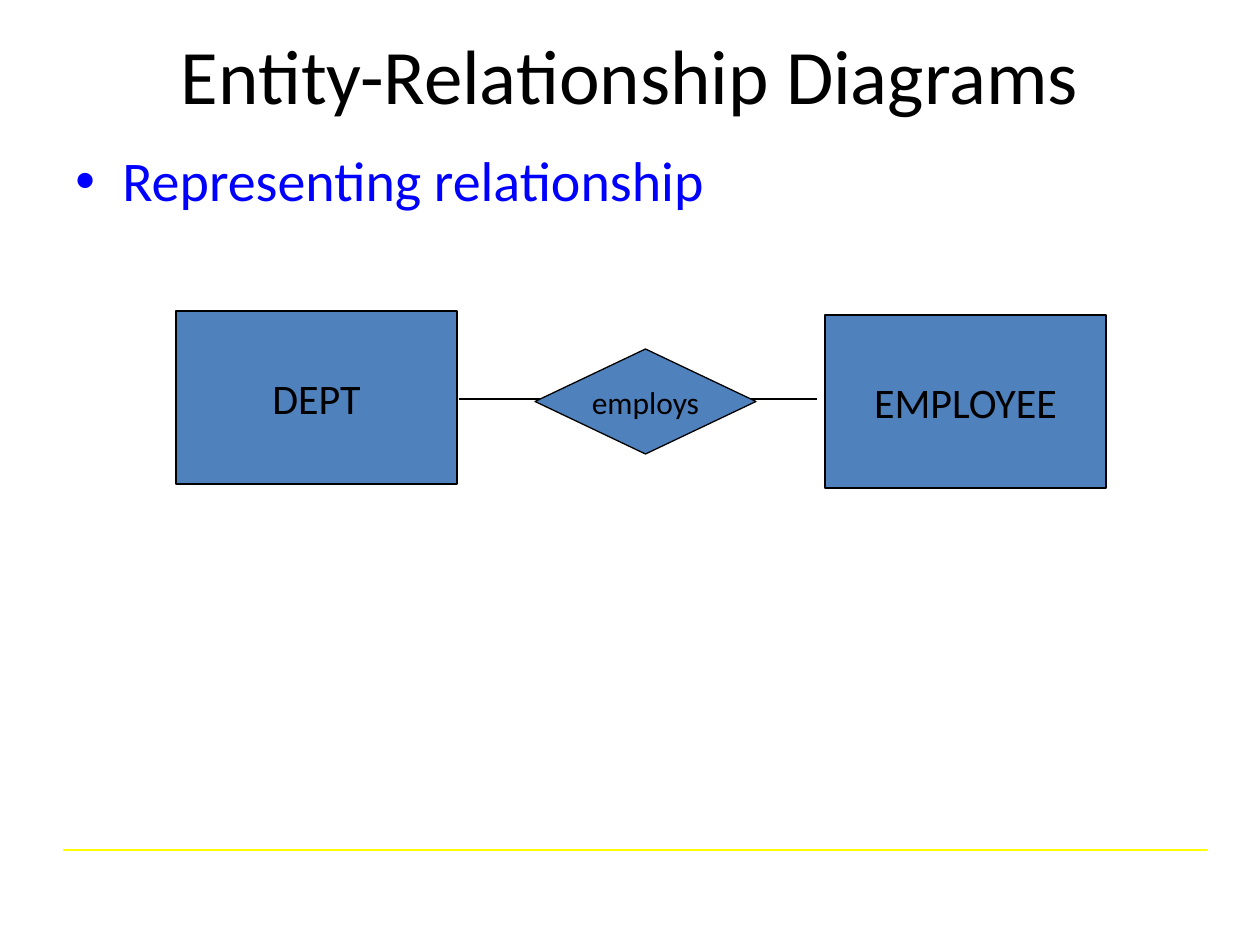
from dataclasses import dataclass

from lxml import etree
from pptx import Presentation, util as u
from pptx.dml.color import RGBColor
from pptx.enum import shapes, text
from pptx.oxml.ns import qn

PX = 914400 / 126


def px(n):
    return u.Emu(round(n * PX))


@dataclass(frozen=True)
class Theme:
    font: str = "Calibri"
    ink: str = "000000"
    accent: str = "0000FF"
    fill: str = "4F81BD"
    rule: str = "FFFF00"
    title: int = 44
    body: int = 32
    entity: int = 24
    relation: int = 18


class Deck:
    def __init__(self, theme):
        self.theme = theme
        self.prs = Presentation()
        self.prs.slide_width, self.prs.slide_height = px(1260), px(945)
        self.s = self.prs.slides.add_slide(self.prs.slide_layouts[5])

    def label(self, sp, words, size, color, align, anchor, wrap=True):
        tf = sp.text_frame
        tf.word_wrap = wrap
        tf.vertical_anchor = anchor
        p = tf.paragraphs[0]
        p.text = words
        p.alignment = align
        p.font.name = self.theme.font
        p.font.size = u.Pt(size)
        p.font.color.rgb = RGBColor.from_string(color)
        return p

    def title(self, words, x, y, w, h):
        sp = self.s.shapes.title
        sp.left, sp.top, sp.width, sp.height = map(px, (x, y, w, h))
        self.label(sp, words, self.theme.title, self.theme.ink,
                   text.PP_ALIGN.CENTER, text.MSO_ANCHOR.MIDDLE)

    def bullet(self, words, x, y, w, h, indent=47):
        sp = self.s.shapes.add_textbox(*map(px, (x, y, w, h)))
        p = self.label(sp, words, self.theme.body, self.theme.accent,
                       text.PP_ALIGN.LEFT, text.MSO_ANCHOR.TOP)
        p.line_spacing = 0.9
        pPr = p._p.get_or_add_pPr()
        pPr.set("marL", str(px(indent)))
        pPr.set("indent", str(-px(indent)))
        font = etree.Element(qn("a:buFont"), typeface="Arial")
        char = etree.Element(qn("a:buChar"), char="•")
        at = pPr.index(pPr.find(qn("a:defRPr")))
        pPr[at:at] = [font, char]

    def line(self, x1, x2, y, color):
        c = self.s.shapes.add_connector(
            shapes.MSO_CONNECTOR.STRAIGHT, *map(px, (x1, y, x2, y)))
        c.line.color.rgb = RGBColor.from_string(color)
        c.line.width = u.Pt(1)
        etree.SubElement(c._element.spPr, qn("a:effectLst"))

    def node(self, kind, words, x, y, w, h, size, border):
        sp = self.s.shapes.add_shape(kind, *map(px, (x, y, w, h)))
        sp.shadow.inherit = False
        sp.fill.solid()
        sp.fill.fore_color.rgb = RGBColor.from_string(self.theme.fill)
        sp.line.color.rgb = RGBColor.from_string(self.theme.ink)
        sp.line.width = u.Pt(border)
        self.label(sp, words, size, self.theme.ink, text.PP_ALIGN.CENTER,
                   text.MSO_ANCHOR.MIDDLE, wrap=False)

    def entity(self, words, x, y):
        self.node(shapes.MSO_SHAPE.RECTANGLE, words, x, y, 281, 173,
                  self.theme.entity, 1)

    def relation(self, words, x, y):
        self.node(shapes.MSO_SHAPE.DIAMOND, words, x, y, 221, 105,
                  self.theme.relation, 0.75)


def main():
    theme = Theme()
    deck = Deck(theme)

    # Heading and topic
    deck.title("Entity-Relationship Diagrams", 63, 21, 1134, 105)
    deck.bullet("Representing relationship", 63, 147, 1134, 179)

    # Footer rule
    deck.line(63, 1207, 850, theme.rule)

    # Two entities joined by a relationship
    deck.entity("DEPT", 176, 311)
    deck.entity("EMPLOYEE", 825, 315)
    deck.line(459, 817, 399, theme.ink)
    deck.relation("employs", 535, 349)

    deck.prs.save("out.pptx")


if __name__ == "__main__":
    main()
